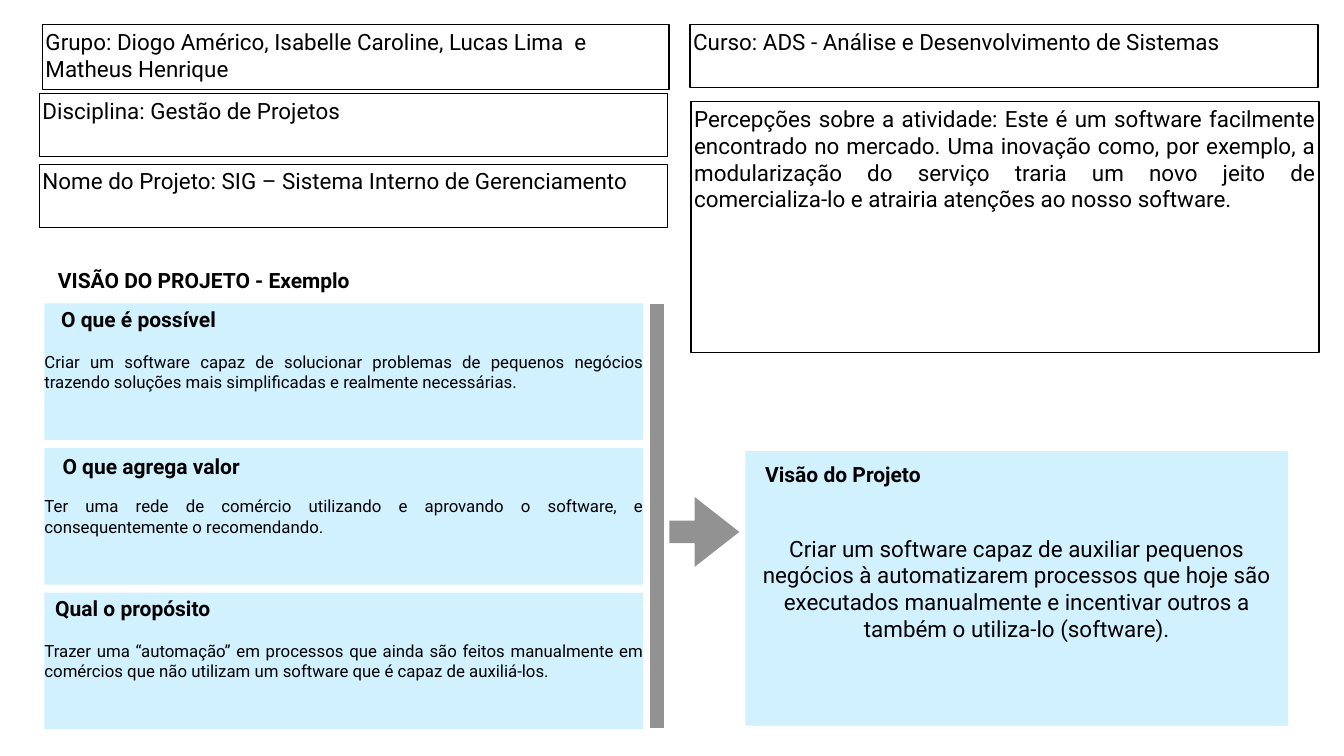
from lxml import etree
from pptx import Presentation
from pptx import util as u
from pptx.dml.color import RGBColor
from pptx.enum import shapes, text
from pptx.oxml import ns

BLACK = RGBColor(0x00, 0x00, 0x00)
SKY = RGBColor(0x68, 0xD2, 0xFF)
GRAY = RGBColor(0x92, 0x92, 0x92)
FONT = "Roboto"

LEFT, CENTER, JUSTIFY = text.PP_ALIGN.LEFT, text.PP_ALIGN.CENTER, text.PP_ALIGN.JUSTIFY
TOP, MIDDLE = text.MSO_ANCHOR.TOP, text.MSO_ANCHOR.MIDDLE

FIELD_WIDTH, FIELD_HEIGHT = 897, 90
FIELDS = [
    ("Curso: ADS - Análise e Desenvolvimento de Sistemas",
     (985.7, 35.3, FIELD_WIDTH, FIELD_HEIGHT), LEFT),
    ("Disciplina: Gestão de Projetos",
     (56.2, 133.9, FIELD_WIDTH, FIELD_HEIGHT), LEFT),
    ("Nome do Projeto: SIG – Sistema Interno de Gerenciamento",
     (56.2, 234.7, FIELD_WIDTH, FIELD_HEIGHT), LEFT),
    ("Percepções sobre a atividade: Este é um software facilmente encontrado no mercado. "
     "Uma inovação como, por exemplo, a modularização do serviço traria um novo jeito de "
     "comercializa-lo e atrairia atenções ao nosso software.",
     (987.1, 145.4, FIELD_WIDTH, 358.6), JUSTIFY),
]

PANEL_LEFT, PANEL_TOP, PANEL_WIDTH, PANEL_HEIGHT = 63.4, 433.4, 855.4, 195.1
PANEL_PITCH = 206.6
# heading, its place, panel text
PANELS = [
    ("O que é possível", (75.6, 433.4, 244.8, 43.9),
     "Criar um software capaz de solucionar problemas de pequenos negócios trazendo "
     "soluções mais simplificadas e realmente necessárias."),
    ("O que agrega valor", (75.6, 643.7, 280.8, 43.9),
     "Ter uma rede de comércio utilizando e aprovando o software, e consequentemente "
     "o recomendando."),
    ("Qual o propósito", (66.2, 846.7, 247, 43.9),
     "Trazer uma “automação” em processos que ainda são feitos manualmente em comércios "
     "que não utilizam um software que é capaz de auxiliá-los."),
]


def points(values):
    return [u.Pt(value) for value in values]


def place(shape, box):
    shape.left, shape.top, shape.width, shape.height = points(box)


def write(shape, content, size, align, anchor, inset=4.5, bold=False, wrap=True):
    frame = shape.text_frame
    frame.text = content
    margin = u.Pt(inset)
    frame_format = {
        "margin_left": margin, "margin_top": margin,
        "margin_right": margin, "margin_bottom": margin,
        "vertical_anchor": anchor, "word_wrap": wrap,
        "auto_size": text.MSO_AUTO_SIZE.NONE if wrap else text.MSO_AUTO_SIZE.SHAPE_TO_FIT_TEXT,
    }
    for name, value in frame_format.items():
        setattr(frame, name, value)
    paragraph = frame.paragraphs[0]
    paragraph.alignment = align
    paragraph.space_before = u.Pt(0)
    font = paragraph.runs[0].font
    for name, value in {"name": FONT, "size": u.Pt(size), "bold": bold}.items():
        setattr(font, name, value)
    font.color.rgb = BLACK


def outline(shape):
    shape.line.color.rgb = BLACK
    shape.line.width = u.Pt(2)


def add_plain_shape(slide, kind, box):
    shape = slide.shapes.add_shape(kind, *points(box))
    shape.shadow.inherit = False
    return shape


def add_field(slide, content, box, align):
    field = add_plain_shape(slide, shapes.MSO_SHAPE.RECTANGLE, box)
    field.fill.background()
    outline(field)
    write(field, content, 32, align, TOP)


def add_panel(slide, content, box, size, align):
    """Add a rectangle with a 30% opaque sky fill."""
    panel = add_plain_shape(slide, shapes.MSO_SHAPE.RECTANGLE, box)
    panel.fill.solid()
    panel.fill.fore_color.rgb = SKY
    color = panel.fill._xPr.find(".//" + ns.qn("a:srgbClr"))
    etree.SubElement(color, ns.qn("a:alpha"), val="30000")
    panel.line.fill.background()
    write(panel, content, size, align, MIDDLE, inset=0)


def add_heading(slide, content, box):
    heading = slide.shapes.add_textbox(*points(box))
    write(heading, content, 30, CENTER, MIDDLE, bold=True, wrap=False)


def add_bar(slide, x, bottom, top):
    bar = slide.shapes.add_connector(
        shapes.MSO_CONNECTOR.STRAIGHT, *points((x, bottom, x, top)))
    bar.line.color.rgb = GRAY
    bar.line.width = u.Pt(20)
    etree.SubElement(bar._element.spPr, ns.qn("a:effectLst"))


def add_arrow(slide, box):
    arrow = add_plain_shape(slide, shapes.MSO_SHAPE.RIGHT_ARROW, box)
    arrow.adjustments[0], arrow.adjustments[1] = 0.32, 0.64
    arrow.fill.solid()
    arrow.fill.fore_color.rgb = GRAY
    arrow.line.fill.background()


def main():
    presentation = Presentation()
    presentation.slide_width, presentation.slide_height = points((1920, 1080))
    slide = presentation.slides.add_slide(presentation.slide_layouts[0])

    title, group = slide.placeholders
    place(title, (59.8, 377.3, 463, 44.6))
    write(title, "VISÃO DO PROJETO - Exemplo", 30, CENTER, MIDDLE, bold=True, wrap=False)
    place(group, (60.5, 35.3, 895, 92.2))
    outline(group)
    write(group, "Grupo: Diogo Américo, Isabelle Caroline, Lucas Lima  e Matheus Henrique",
          32, LEFT, TOP)

    for content, box, align in FIELDS:
        add_field(slide, content, box, align)

    for index, (heading, heading_box, content) in enumerate(PANELS):
        top = PANEL_TOP + index * PANEL_PITCH
        add_panel(slide, content, (PANEL_LEFT, top, PANEL_WIDTH, PANEL_HEIGHT), 24, JUSTIFY)
        add_heading(slide, heading, heading_box)

    add_arrow(slide, (956.2, 709.9, 100, 100))
    add_bar(slide, 938.2, 1040.4, 434.2)

    add_panel(slide,
              "Criar um software capaz de auxiliar pequenos negócios à automatizarem processos "
              "que hoje são executados manualmente e incentivar outros a também o utiliza-lo "
              "(software).",
              (1064.9, 644.4, 775.4, 392.4), 32, CENTER)
    add_heading(slide, "Visão do Projeto", (1082.2, 655.2, 244.1, 43.9))

    presentation.save("out.pptx")


if __name__ == "__main__":
    main()
